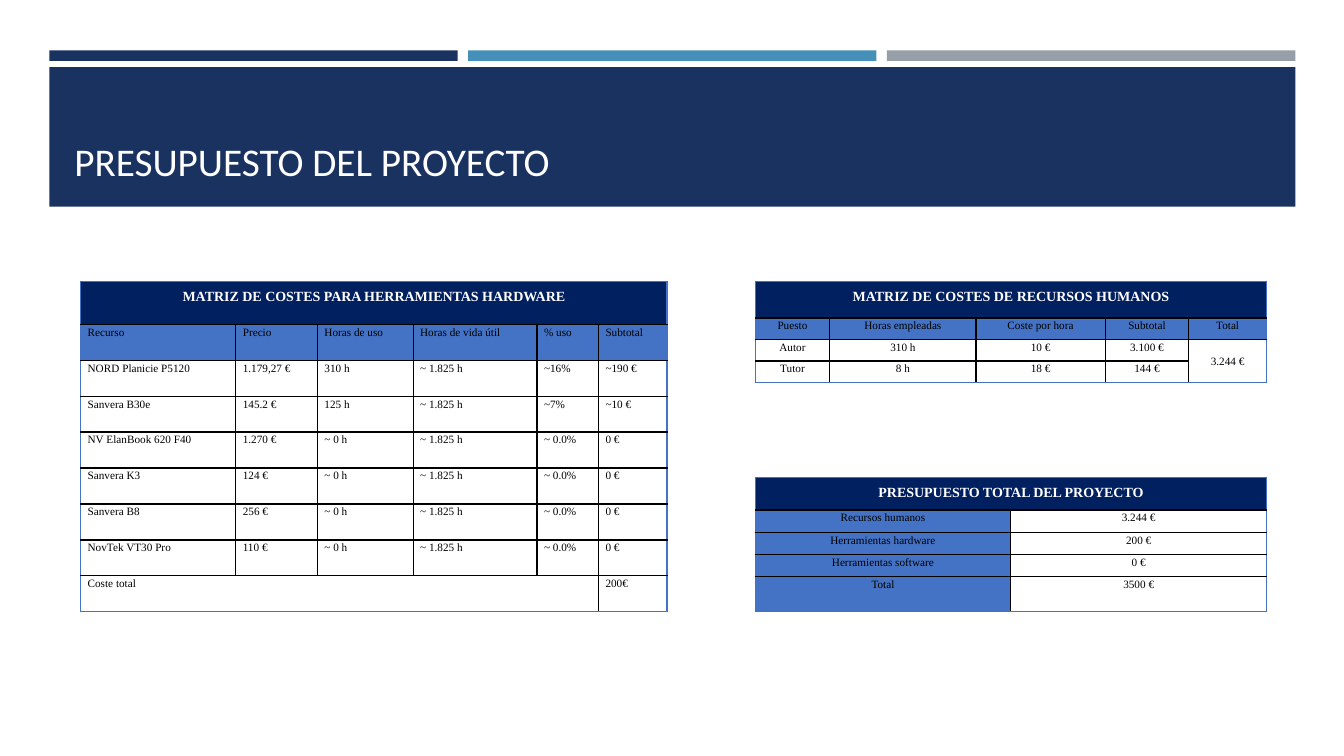
from dataclasses import dataclass

from lxml import etree
from pptx import Presentation
from pptx import util as u
from pptx.dml.color import RGBColor
from pptx.enum import shapes, text
from pptx.oxml import ns


@dataclass(frozen=True)
class Theme:
    navy: str = "1A3260"
    sky: str = "4590B8"
    grey: str = "969FA7"
    heading: str = "002060"
    accent: str = "4472C4"
    white: str = "FFFFFF"
    black: str = "000000"
    title_font: str = "Calibri"
    table_font: str = "Times New Roman"
    title_size: int = 28
    heading_size: int = 10
    body_size: int = 8
    border: int = 1
    plain_table: str = "{2D5ABB26-0587-4C30-8999-92F81FD0307C}"


theme = Theme()
LEFT, RIGHT, CENTER = text.PP_ALIGN.JUSTIFY, text.PP_ALIGN.CENTER, text.PP_ALIGN.CENTER
deck = Presentation()
deck.slide_width, deck.slide_height = u.Inches(13.33), u.Inches(7.5)
page = deck.slides.add_slide(deck.slide_layouts[6])


def place(left, top, width, height):
    """Turn percentages of the slide into lengths."""
    across, down = deck.slide_width / 100, deck.slide_height / 100
    return [round(n) for n in (left * across, top * down, width * across, height * down)]


def write(para, words, font, size, color, bold=False):
    span = para.add_run()
    span.text = words
    span.font.name, span.font.size, span.font.bold = font, u.Pt(size), bold
    span.font.color.rgb = RGBColor.from_string(color)


# Three bars share the width of the title band
band_left, band_width, gap = 3.68, 92.7, 0.78
bar_width = (band_width - 2 * gap) / 3
bands = [(band_left + i * (bar_width + gap), 6.67, bar_width, 1.4, color)
         for i, color in enumerate((theme.navy, theme.sky, theme.grey))]
bands.append((band_left, 8.87, band_width, 18.45, theme.navy))
for *spot, color in bands:
    band = page.shapes.add_shape(shapes.MSO_SHAPE.RECTANGLE, *place(*spot))
    band.shadow.inherit = False
    band.fill.solid()
    band.fill.fore_color.rgb = RGBColor.from_string(color)
    band.line.fill.background()

title = page.shapes.add_textbox(*place(4.8, 10.67, 90.47, 14.4)).text_frame
title.word_wrap = True
title.vertical_anchor = text.MSO_ANCHOR.BOTTOM
write(title.paragraphs[0], "PRESUPUESTO DEL PROYECTO",
      theme.title_font, theme.title_size, theme.white)

unused = ["~ 0 h", "~ 1.825 h", "~ 0.0%", "0 €"]
hardware = [
    ["MATRIZ DE COSTES PARA HERRAMIENTAS HARDWARE"],
    ["Recurso", "Precio", "Horas de uso", "Horas de vida útil", "% uso", "Subtotal"],
    ["NORD Planicie P5120", "1.179,27 €", "310 h", "~ 1.825 h", "~16%", "~190 €"],
    ["Sanvera B30e", "145.2 €", "125 h", "~ 1.825 h", "~7%", "~10 €"],
    ["NV ElanBook 620 F40", "1.270 €", *unused],
    ["Sanvera K3", "124 €", *unused],
    ["Sanvera B8", "256 €", *unused],
    ["NovTek VT30 Pro", "110 €", *unused],
    ["Coste total", "", "", "", "", "200€"],
]
staff = [
    ["MATRIZ DE COSTES DE RECURSOS HUMANOS"],
    ["Puesto", "Horas empleadas", "Coste por hora", "Subtotal", "Total"],
    ["Autor", "310 h", "10 €", "3.100 €", "3.244 €"],
    ["Tutor", "8 h", "18 €", "144 €"],
]
budget = [
    ["PRESUPUESTO TOTAL DEL PROYECTO"],
    ["Recursos humanos", "3.244 €"],
    ["Herramientas hardware", "200 €"],
    ["Herramientas software", "0 €"],
    ["Total", "3500 €"],
]

# Rows of text, place, column weights, row weights, alignment,
# extra merge (first cell, last cell), whether labels run down the first column
tables = [
    (budget, (56.19, 63.2, 38.05, 17.75), [1, 1], [32, 22, 22, 22, 35], CENTER, None, True),
    (hardware, (6, 37.2, 43.64, 43.73), [154, 81, 95, 123, 61, 68],
     [43] + [36] * 8, LEFT, ((8, 0), (8, 4)), False),
    (staff, (56.19, 37.2, 38.05, 13.4), [74, 145, 128, 83, 77],
     [36, 21, 21, 21], RIGHT, ((2, 4), (3, 4)), False),
]
for rows, spot, widths, heights, align, merge, side_labels in tables:
    row_count, column_count = len(heights), len(widths)
    left, top, width, height = place(*spot)
    table = page.shapes.add_table(row_count, column_count, left, top, width, height).table
    table.first_row = table.horz_banding = False
    table._tbl.tblPr.find(ns.qn("a:tableStyleId")).text = theme.plain_table
    for column, weight in zip(table.columns, widths):
        column.width = round(width * weight / sum(widths))
    for row, weight in zip(table.rows, heights):
        row.height = round(height * weight / sum(heights))
    table.cell(0, 0).merge(table.cell(0, column_count - 1))
    if merge:
        table.cell(*merge[0]).merge(table.cell(*merge[1]))

    for r in range(row_count):
        for c in range(column_count):
            cell = table.cell(r, c)
            if cell.is_spanned:
                continue
            # Outer edges are blue, inner ones black
            last_row = r + cell.span_height == row_count
            last_column = c + cell.span_width == column_count
            edges = {"lnL": c == 0, "lnR": last_column, "lnT": r == 0, "lnB": last_row}
            for edge, outer in edges.items():
                line = etree.SubElement(cell._tc.get_or_add_tcPr(), ns.qn(f"a:{edge}"),
                                        w=str(u.Pt(theme.border)))
                paint = etree.SubElement(line, ns.qn("a:solidFill"))
                etree.SubElement(paint, ns.qn("a:srgbClr"),
                                 val=theme.accent if outer else theme.black)

            heading = r == 0
            label = c == 0 if side_labels else r == 1
            if heading or label:
                cell.fill.solid()
                cell.fill.fore_color.rgb = RGBColor.from_string(
                    theme.heading if heading else theme.accent)
            else:
                cell.fill.background()
            cell.margin_left = cell.margin_right = u.Inches(0.07)
            cell.margin_top = cell.margin_bottom = 0
            if cell.span_height > 1:
                cell.vertical_anchor = text.MSO_ANCHOR.MIDDLE
            para = cell.text_frame.paragraphs[0]
            para.alignment = CENTER if heading else align
            para.line_spacing = 1.5 if heading else 1.15
            write(para, rows[r][c], theme.table_font,
                  theme.heading_size if heading else theme.body_size,
                  theme.white if heading else theme.black, heading)

deck.save("out.pptx")
